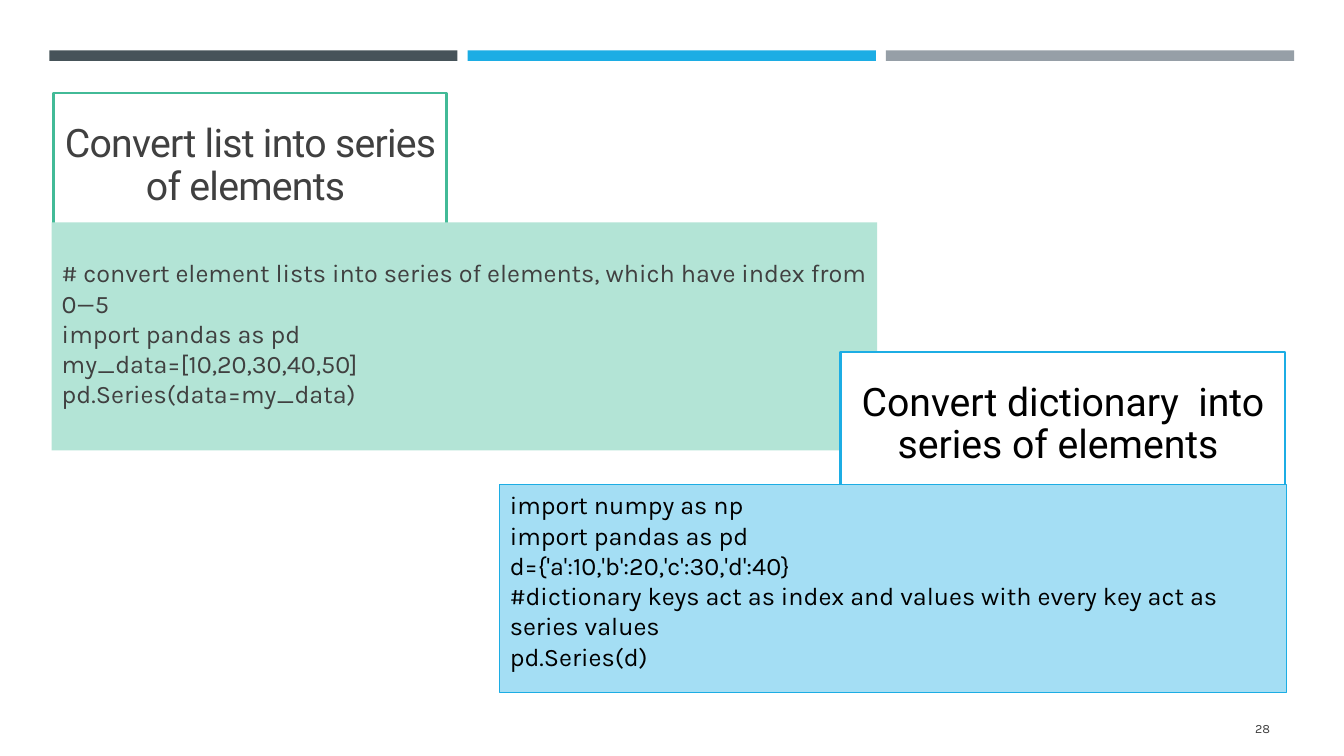
from lxml import etree
from pptx import Presentation
from pptx.dml.color import RGBColor
from pptx.enum.shapes import MSO_SHAPE
from pptx.enum.text import MSO_ANCHOR, MSO_AUTO_SIZE, PP_ALIGN
from pptx.oxml.ns import qn
from pptx.util import Pt

RECTANGLE = MSO_SHAPE.RECTANGLE
TOP, MIDDLE = MSO_ANCHOR.TOP, MSO_ANCHOR.MIDDLE
LEFT, CENTER, RIGHT = PP_ALIGN.LEFT, PP_ALIGN.CENTER, PP_ALIGN.RIGHT
NO_AUTOFIT = MSO_AUTO_SIZE.NONE

HEADING_FONT, CODE_FONT = "Roboto", "Karla"
DARK_GREY, BLACK, WHITE = "404040", "000000", "FFFFFF"
GREEN, BLUE = "42BA97", "1CADE4"
BAR_COLOURS = ["465359", BLUE, "969FA7"]

LIST_CODE = [
    "# convert element lists into series of elements, which have index from 0—5",
    "import pandas as pd",
    "my_data=[10,20,30,40,50]",
    "pd.Series(data=my_data)",
]
DICTIONARY_CODE = [
    "import numpy as np",
    "import pandas as pd",
    "d={'a':10,'b':20,'c':30,'d':40}",
    "#dictionary keys act as index and values with every key act as series values",
    "pd.Series(d)",
]


def colour(hex_value):
    return RGBColor.from_string(hex_value)


def place(box, left, top, width, height):
    box.left, box.top = Pt(left), Pt(top)
    box.width, box.height = Pt(width), Pt(height)


def paint(box, fill, line=None, line_width=0.75):
    box.fill.solid()
    box.fill.fore_color.rgb = colour(fill)
    if line:
        box.line.color.rgb = colour(line)
        box.line.width = Pt(line_width)
    else:
        box.line.fill.background()


def add_rectangle(slide, left, top, width, height):
    rectangle = slide.shapes.add_shape(
        RECTANGLE, Pt(left), Pt(top), Pt(width), Pt(height))
    rectangle.shadow.inherit = False
    return rectangle


def write(box, lines, font, size, text_colour, align=LEFT, anchor=TOP,
          line_spacing=1.0, top_inset=3.6, tracking=None):
    """Fill a box with unbulleted paragraphs; tracking is in hundredths of a point."""
    frame = box.text_frame
    frame.word_wrap = True
    frame.auto_size = NO_AUTOFIT
    frame.vertical_anchor = anchor
    frame.margin_left = frame.margin_right = Pt(7.2)
    frame.margin_top, frame.margin_bottom = Pt(top_inset), Pt(3.6)
    for index, line in enumerate(lines):
        paragraph = frame.add_paragraph() if index else frame.paragraphs[0]
        properties = paragraph._p.get_or_add_pPr()
        properties.set("marL", "0")
        properties.set("indent", "0")
        etree.SubElement(properties, qn("a:buNone"))
        paragraph.alignment = align
        paragraph.line_spacing = line_spacing
        paragraph.space_before = paragraph.space_after = Pt(0)
        run = paragraph.add_run()
        run.text = line
        run.font.name, run.font.size = font, Pt(size)
        run.font.color.rgb = colour(text_colour)
        if tracking is not None:
            run._r.get_or_add_rPr().set("spc", str(tracking))


def write_heading(box, heading, text_colour, border, tracking=None):
    paint(box, WHITE, border, 1.75)
    write(box, [heading], HEADING_FONT, 28, text_colour, CENTER, MIDDLE,
          line_spacing=0.9, tracking=tracking)


def add_top_bars(slide):
    bar_width, gap = 291.6, 7.2
    for index, bar_colour in enumerate(BAR_COLOURS):
        bar = add_rectangle(
            slide, 35.2 + index * (bar_width + gap), 36, bar_width, 7.5)
        paint(bar, bar_colour)


def add_slide_number(slide, number):
    box = slide.shapes.add_textbox(Pt(831.6), Pt(506.2), Pt(82.8), Pt(28.8))
    write(box, [number], CODE_FONT, 9, DARK_GREY, RIGHT, MIDDLE)


def main():
    presentation = Presentation()
    presentation.slide_width, presentation.slide_height = Pt(960), Pt(540)
    slide = presentation.slides.add_slide(presentation.slide_layouts[1])

    add_top_bars(slide)
    add_slide_number(slide, "28")

    list_heading = slide.shapes.title
    place(list_heading, 38.2, 66.5, 280.8, 104.4)
    write_heading(list_heading, "Convert list into series of elements ",
                  DARK_GREY, GREEN, tracking=-50)

    list_code = slide.placeholders[1]
    place(list_code, 36.9, 158.9, 589.7, 162.8)
    paint(list_code, "B3E4D6")
    write(list_code, LIST_CODE, CODE_FONT, 18, DARK_GREY, top_inset=25.2)

    dictionary_heading = add_rectangle(slide, 600.5, 251.4, 317.5, 104.4)
    write_heading(dictionary_heading,
                  "Convert dictionary  into series of elements ", BLACK, BLUE)

    dictionary_code = add_rectangle(slide, 357.1, 346.3, 561.6, 148.3)
    paint(dictionary_code, "A4DEF4", BLUE)
    write(dictionary_code, DICTIONARY_CODE, CODE_FONT, 18, BLACK)

    presentation.save("out.pptx")


if __name__ == "__main__":
    main()
